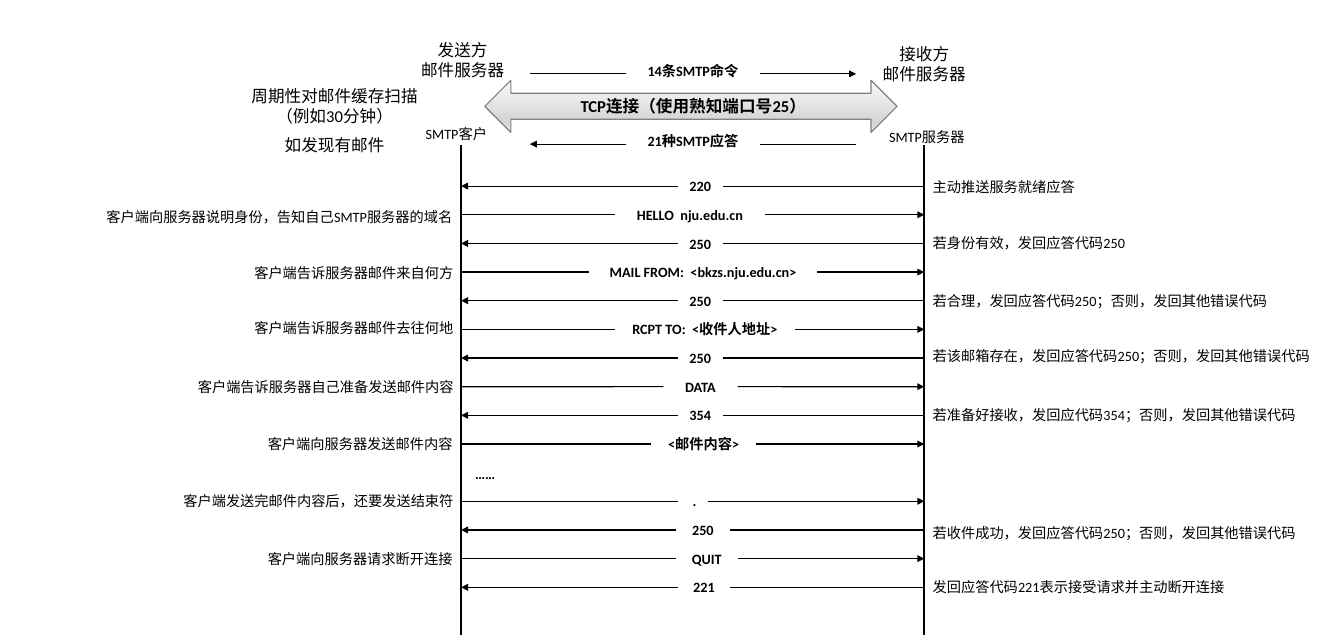
from collections import namedtuple

from lxml import etree
from pptx import Presentation
from pptx import util as u
from pptx.dml.color import RGBColor
from pptx.enum import shapes, text
from pptx.oxml.ns import qn

Box = namedtuple("Box", "left top width height")
Message = namedtuple("Message", "label start end note note_left note_width nudge")

BLACK = "000000"
LABEL_HEIGHT = 0.76
LANE = 13.79
FIRST_ROW, LAST_ROW = 1.22, 13.16

MESSAGES = [
    Message("220", 6.45, 7.79, "主动推送服务就绪应答", LANE, 7.32, 0.03),
    Message("HELLO  nju.edu.cn", 4.59, 9.04,
            "客户端向服务器说明身份，告知自己SMTP服务器的域名", -10.8, 11.46, 0.05),
    Message("250", 6.45, 7.79, "若身份有效，发回应答代码250", LANE, 7.32, -0.03),
    Message("MAIL FROM:  <bkzs.nju.edu.cn>", 3.81, 10.61,
            "客户端告诉服务器邮件来自何方", -6.4, 6.78, 0.03),
    Message("250", 6.45, 7.79,
            "若合理，发回应答代码250；否则，发回其他错误代码", LANE, 10.74, 0),
    Message("RCPT TO:  <收件人地址>", 4.59, 9.93,
            "客户端告诉服务器邮件去往何地", -6.4, 7.32, -0.03),
    Message("250", 6.45, 7.79,
            "若该邮箱存在，发回应答代码250；否则，发回其他错误代码", LANE, 11.89, -0.05),
    Message("DATA", 6.02, 8.23,
            "客户端告诉服务器自己准备发送邮件内容", -8.08, 9.27, 0),
    Message("354", 6.45, 7.79,
            "若准备好接收，发回应代码354；否则，发回其他错误代码", LANE, 11.89, 0),
    Message("<邮件内容>", 5.66, 8.78, "客户端向服务器发送邮件内容", -6, 7.32, 0),
    None,
    Message(" .", 6.45, 7.36,
            "客户端发送完邮件内容后，还要发送结束符", -8.51, 10.11, 0),
    Message("250", 6.4, 8,
            "若收件成功，发回应答代码250；否则，发回其他错误代码", LANE, 11.51, 0.08),
    Message("QUIT", 6.4, 8.23, "客户端向服务器请求断开连接", -6, 7.32, 0),
    Message("221", 6.47, 8,
            "发回应答代码221表示接受请求并主动断开连接", LANE, 10.69, 0),
]


def colour(value):
    return RGBColor.from_string(value)


def add_text(page, box, content, size=12, bold=False, centred=True, last_gap=0):
    frame_box = page.shapes.add_textbox(*map(u.Cm, box))
    frame = frame_box.text_frame
    frame.word_wrap = True
    frame.auto_size = text.MSO_AUTO_SIZE.SHAPE_TO_FIT_TEXT
    frame.text = content
    for para in frame.paragraphs:
        para.alignment = text.PP_ALIGN.CENTER if centred else text.PP_ALIGN.LEFT
        for span in para.runs:
            span.font.name = "Calibri"
            span.font.size = u.Pt(size)
            span.font.bold = bold
            span.font.color.rgb = colour(BLACK)
    if last_gap:
        frame.paragraphs[-1].space_before = u.Pt(last_gap)
    return frame_box


def add_line(page, start, end, width=1, arrow=False):
    line = page.shapes.add_connector(
        shapes.MSO_CONNECTOR.STRAIGHT, *map(u.Cm, (*start, *end)))
    line.line.width = u.Pt(width)
    line.line.color.rgb = colour(BLACK)
    if arrow:
        etree.SubElement(line.line._get_or_add_ln(), qn("a:tailEnd"), type="triangle")
    etree.SubElement(line._element.spPr, qn("a:effectLst"))
    return line


def add_message(page, left, right, y, start, end, label, forward, drop=0):
    label_box = add_text(
        page, Box(start, y - drop - LABEL_HEIGHT / 2, end - start, LABEL_HEIGHT),
        label, bold=True)
    to_left = add_line(page, (start, y), (left, y), arrow=not forward)
    to_right = add_line(page, (end, y), (right, y), arrow=forward)
    if not drop:
        to_left.begin_connect(label_box, 1)
        to_right.begin_connect(label_box, 3)


def add_connection_arrow(page, box):
    arrow = page.shapes.add_shape(
        shapes.MSO_SHAPE.LEFT_RIGHT_ARROW, *map(u.Cm, box))
    arrow.shadow.inherit = False
    arrow.line.color.rgb = colour("808080")
    arrow.line.width = u.Pt(1)
    arrow.fill.gradient()
    arrow.fill.gradient_angle = 270
    stops = arrow._element.spPr.find(qn("a:gradFill")).find(qn("a:gsLst"))
    stops.clear()
    for percent, shade in ((0, "FAFAFA"), (74, "D7D7D7"), (83, "D7D7D7"), (100, "E4E4E4")):
        stop = etree.SubElement(stops, qn("a:gs"), pos=str(percent * 1000))
        etree.SubElement(stop, qn("a:srgbClr"), val=shade)


def draw_header(page, box):
    def place(left, top, width, height):
        return Box(box.left + left, box.top + top, width, height)

    add_connection_arrow(page, place(0.71, 1.32, 12.27, 1.55))
    add_text(page, place(2.43, 1.65, 8.97, 0.86),
             "TCP连接（使用熟知端口号25）", size=14, bold=True)
    for label, y, forward in (("14条SMTP命令", 1.13, True), ("21种SMTP应答", 3.22, False)):
        add_message(page, box.left + 2.05, box.left + 11.76, box.top + y,
                    box.left + 4.92, box.left + 8.89, label, forward, drop=0.09)
    add_text(page, place(-7.29, 1.37, 7.06, 2.31),
             "周期性对邮件缓存扫描\n（例如30分钟）\n如发现有邮件", size=14, last_gap=7.5)
    add_text(page, place(-1.93, 0, 3.96, 1.45), "发送方\n邮件服务器", size=14)
    add_text(page, place(11.81, 0.12, 3.96, 1.45), "接收方\n邮件服务器", size=14)
    add_text(page, place(-1.3, 2.54, 2.59, LABEL_HEIGHT), "SMTP客户", centred=False)
    add_text(page, place(12.49, 2.61, 3.15, LABEL_HEIGHT), "SMTP服务器", centred=False)


def draw_dialogue(page, box):
    right = box.left + box.width
    for x in (box.left, right):
        add_line(page, (x, box.top), (x, box.top + box.height), width=1.5)
    pitch = (LAST_ROW - FIRST_ROW) / (len(MESSAGES) - 1)
    for row, message in enumerate(MESSAGES):
        y = box.top + FIRST_ROW + row * pitch
        top = y - LABEL_HEIGHT / 2
        if message is None:
            add_text(page, Box(box.left - 0.84, top + 0.05, 3.12, LABEL_HEIGHT),
                     "……", bold=True)
            continue
        add_message(page, box.left, right, y, box.left + message.start,
                    box.left + message.end, message.label, message.note_left < 0)
        add_text(page, Box(box.left + message.note_left, top + message.nudge,
                           message.note_width, LABEL_HEIGHT),
                 message.note, centred=False)


def main():
    deck = Presentation()
    deck.slide_width, deck.slide_height = u.Cm(40), u.Cm(19.05)
    page = deck.slides.add_slide(deck.slide_layouts[6])
    draw_header(page, Box(13.72, 1.07, LANE, 3.25))
    draw_dialogue(page, Box(13.72, 4.32, LANE, 14.58))
    deck.save("out.pptx")


if __name__ == "__main__":
    main()
